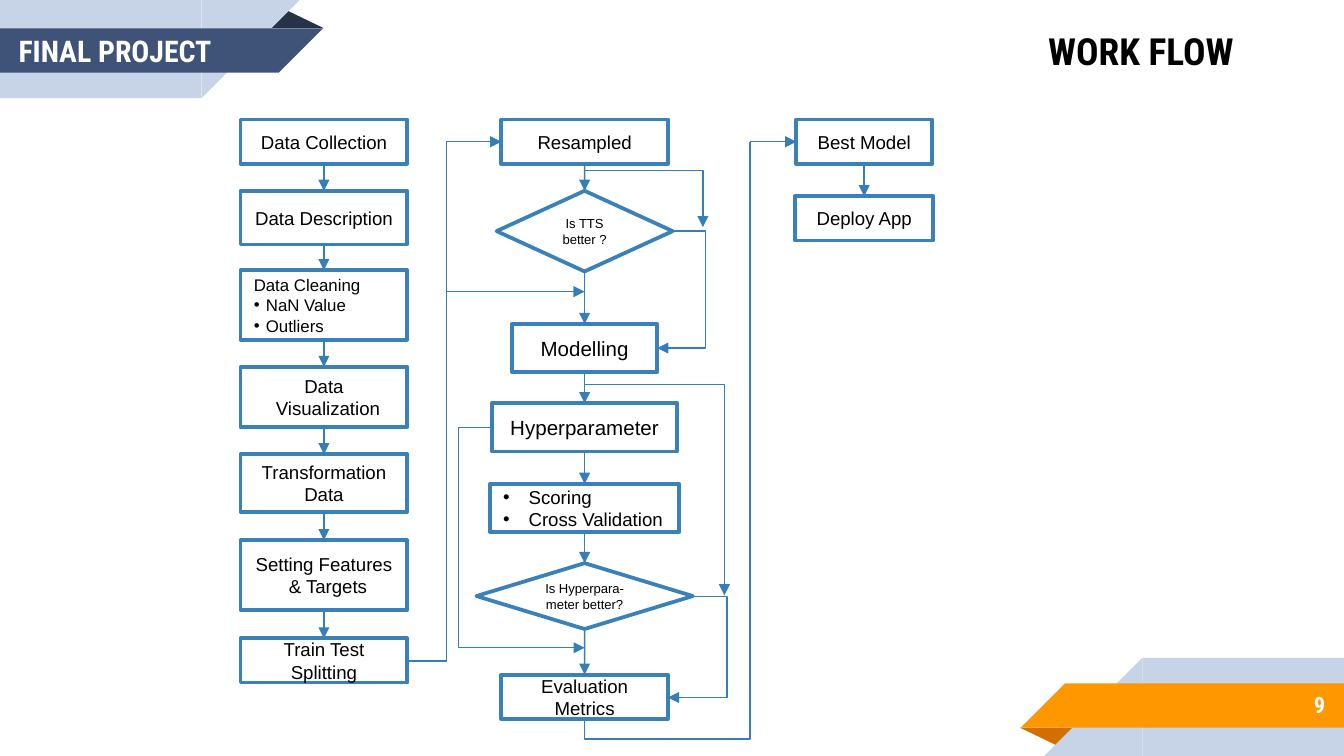
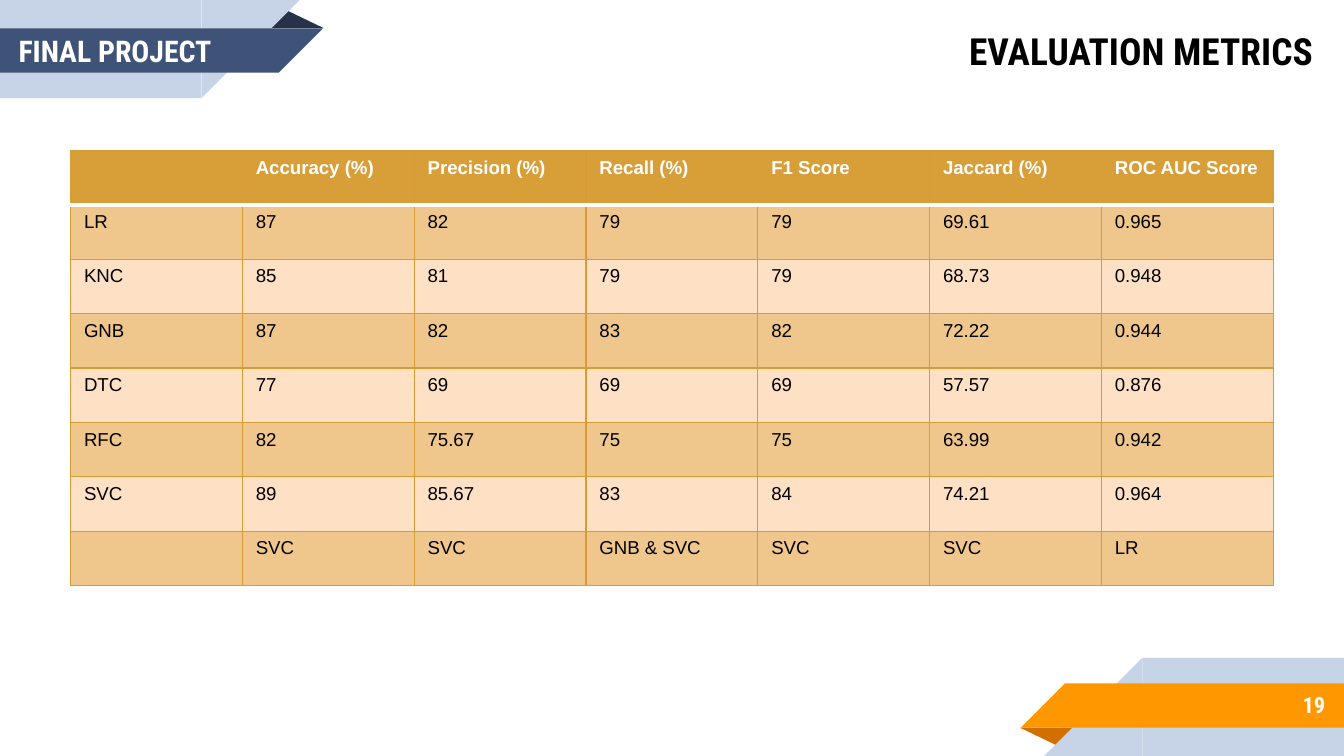
from dataclasses import dataclass
from itertools import pairwise

from lxml.etree import SubElement
from pptx import Presentation
from pptx.dml.color import RGBColor
from pptx.enum.shapes import MSO_CONNECTOR, MSO_SHAPE
from pptx.enum.text import MSO_ANCHOR, MSO_AUTO_SIZE, PP_ALIGN
from pptx.oxml.ns import qn
from pptx.util import Inches, Pt

# The grid: 100 columns by 56.25 rows, each cell a tenth of an inch square.
COLUMNS, ROWS = 100, 56.25
COLORS = {
    "black": "000000", "white": "FFFFFF", "pale": "C7D3E6",
    "navy": "3F5378", "dark navy": "263248",
    "orange": "FF9800", "dark orange": "D26F00",
    "box line": "3A81BA", "arrow": "367EB9",
    "header": "D89F39", "border": "D79D34",
    "dark row": "EFC78C", "light row": "FEE1C4",
}
HEADING_FONT, BODY_FONT = "Roboto Condensed", "Arial"
TOP, LEFT, BOTTOM, RIGHT = range(4)

Point = tuple[float, float]


@dataclass(frozen=True)
class BandPart:
    shape: MSO_SHAPE
    left: float
    top: float
    width: float
    height: float
    role: str


@dataclass(frozen=True)
class Step:
    """One box of the flow; lines that begin with • become bullets."""
    text: str
    top: float
    height: float
    width: float = 12.4
    size: float = 10
    shape: MSO_SHAPE = MSO_SHAPE.RECTANGLE
    hang: float = 0


@dataclass(frozen=True)
class Heading:
    left: float
    top: float
    width: float
    height: float
    size: float
    color: str
    align: PP_ALIGN


BAND = [
    BandPart(MSO_SHAPE.ISOSCELES_TRIANGLE, 19.8, 0.7, 4.3, 1.4, "fold"),
    BandPart(MSO_SHAPE.RECTANGLE, 0, 0, 15, 7.3, "back"),
    BandPart(MSO_SHAPE.RIGHT_TRIANGLE, 15, 0, 7.3, 7.3, "back"),
    BandPart(MSO_SHAPE.RECTANGLE, 0, 2.1, 20.75, 3.3, "front"),
    BandPart(MSO_SHAPE.RIGHT_TRIANGLE, 20.75, 2.1, 3.3, 3.3, "front"),
]
TOP_BAND = {"fold": "dark navy", "back": "pale", "front": "navy"}
BOTTOM_BAND = {"fold": "dark orange", "back": "pale", "front": "orange"}

TITLE = Heading(70.2, 1, 29.4, 5.6, 20, "black", PP_ALIGN.CENTER)
PROJECT = Heading(0.4, 0.3, 39.4, 7, 16, "white", PP_ALIGN.LEFT)
NUMBER = Heading(83.3, 50.7, 16.3, 3.5, 12, "white", PP_ALIGN.RIGHT)

# Each column of the flow: its centre line and its steps from top to bottom.
FLOW = {
    24.1: [
        Step("Data Collection", 8.9, 3.3),
        Step("Data Description", 14.2, 4),
        Step("Data Cleaning\n•NaN Value\n•Outliers", 20.1, 5.2, size=9, hang=0.9),
        Step("Data Visualization", 27.3, 4.5, hang=0.6),
        Step("Transformation\nData", 33.8, 4.3),
        Step("Setting Features & Targets", 40.2, 5.2, hang=0.6),
        Step("Train Test Splitting", 47.5, 3.3),
    ],
    43.5: [
        Step("Resampled", 8.9, 3.3),
        Step("Is TTS better ?", 14.2, 6, 13.1, 7, MSO_SHAPE.DIAMOND),
        Step("Modelling", 24.1, 3.6, 10.8, 11),
        Step("Hyperparameter", 30, 3.6, 13.8, 11),
        Step("•Scoring\n•Cross Validation", 36, 3.6, 14.1, hang=1.9),
        Step("Is Hyperpara-meter better?", 41.9, 4.9, 16.1, 7, MSO_SHAPE.DIAMOND),
        Step("Evaluation Metrics", 50.2, 3.3),
    ],
    64.3: [
        Step("Best Model", 8.9, 3.3, 10.1),
        Step("Deploy App", 14.6, 3.3, 10.3),
    ],
}
ENTRY_ROW = 10.55
PLAIN_ROUTES: list[list[Point]] = [
    [(30.3, 49.2), (33.2, 49.2), (33.2, ENTRY_ROW)],
    [(43.5, 53.5), (43.5, 55), (55.8, 55), (55.8, ENTRY_ROW)],
]
ARROW_ROUTES: list[list[Point]] = [
    [(33.2, 21.7), (43.5, 21.7)],
    [(43.5, 12.7), (52.3, 12.7), (52.3, 16.9)],
    [(50, 17.2), (52.5, 17.2), (52.5, 25.9), (48.9, 25.9)],
    [(43.5, 27.7), (43.5, 28.6), (53.9, 28.6), (53.9, 44.3)],
    [(36.6, 31.8), (34.1, 31.8), (34.1, 48.2), (43.5, 48.2)],
    [(51.6, 44.4), (54.1, 44.4), (54.1, 51.9), (49.7, 51.9)],
]

METRICS = [
    ["", "Accuracy (%)", "Precision (%)", "Recall (%)", "F1 Score", "Jaccard (%)",
     "ROC AUC Score"],
    ["LR", "87", "82", "79", "79", "69.61", "0.965"],
    ["KNC", "85", "81", "79", "79", "68.73", "0.948"],
    ["GNB", "87", "82", "83", "82", "72.22", "0.944"],
    ["DTC", "77", "69", "69", "69", "57.57", "0.876"],
    ["RFC", "82", "75.67", "75", "75", "63.99", "0.942"],
    ["SVC", "89", "85.67", "83", "84", "74.21", "0.964"],
    ["", "SVC", "SVC", "GNB & SVC", "SVC", "SVC", "LR"],
]


def cells(*counts: float) -> list[Inches]:
    return [Inches(count / 10) for count in counts]


def color(name: str) -> RGBColor:
    return RGBColor.from_string(COLORS[name])


def style(paragraph, font: str, size: float, tint: str, align: PP_ALIGN,
          bold: bool = False) -> None:
    paragraph.alignment = align
    paragraph.font.name = font
    paragraph.font.size = Pt(size)
    paragraph.font.bold = bold
    paragraph.font.color.rgb = color(tint)


def draw_band(page, tints: dict[str, str], turned: bool):
    """Draws the ribbon at the top left, or turned about the slide's centre."""
    group = page.shapes.add_group_shape()
    for part in BAND:
        left, top = part.left, part.top
        if turned:
            left, top = COLUMNS - left - part.width, ROWS - top - part.height
        shape = group.shapes.add_shape(part.shape, *cells(left, top, part.width, part.height))
        shape.shadow.inherit = False
        shape.fill.solid()
        shape.fill.fore_color.rgb = color(tints[part.role])
        shape.line.fill.background()
        is_fold = part.role == "fold"
        shape.rotation = 180 if turned == is_fold else 0
        if is_fold:
            shape.adjustments[0] = 0.324
        else:
            shape.element.xpath(".//a:xfrm")[0].set("flipH", "1")
    return group


def write_heading(box, heading: Heading, text: str) -> None:
    box.left, box.top, box.width, box.height = cells(
        heading.left, heading.top, heading.width, heading.height)
    frame = box.text_frame
    frame.text = text
    frame.word_wrap = True
    frame.auto_size = MSO_AUTO_SIZE.NONE
    frame.vertical_anchor = MSO_ANCHOR.MIDDLE
    frame.margin_left = frame.margin_right = Inches(0.1)
    frame.margin_top = frame.margin_bottom = Inches(0.1)
    style(frame.paragraphs[0], HEADING_FONT, heading.size, heading.color, heading.align, True)


def add_page(deck, layout, title: str, number: int):
    page = deck.slides.add_slide(layout)
    write_heading(page.shapes.title, TITLE, title)
    for heading, text in ((PROJECT, "FINAL PROJECT"), (NUMBER, str(number))):
        write_heading(page.shapes.add_textbox(0, 0, 0, 0), heading, text)
    return page


def prepare_layout(deck):
    """Keeps only the layout's title and puts both ribbons behind it."""
    layout = deck.slide_layouts.get_by_name("Title Only")
    for holder in list(layout.placeholders)[1:]:
        layout.shapes.element.remove(holder.element)
    return layout


def draw_step(page, centre: float, step: Step):
    box = page.shapes.add_shape(
        step.shape, *cells(centre - step.width / 2, step.top, step.width, step.height))
    box.shadow.inherit = False
    box.fill.solid()
    box.fill.fore_color.rgb = color("white")
    box.line.color.rgb = color("box line")
    box.line.width = Pt(2)
    frame = box.text_frame
    frame.word_wrap = True
    frame.vertical_anchor = MSO_ANCHOR.MIDDLE
    frame.text = step.text.replace("•", "")
    align = PP_ALIGN.JUSTIFY if "•" in step.text else PP_ALIGN.CENTER
    for paragraph, line in zip(frame.paragraphs, step.text.split("\n")):
        style(paragraph, BODY_FONT, step.size, "black", align)
        properties = paragraph._p.get_or_add_pPr()
        hang = Inches(step.hang / 10)
        properties.set("marL", str(hang))
        properties.set("indent", str(-hang))
        if line.startswith("•"):
            SubElement(properties, qn("a:buFont")).set("typeface", BODY_FONT)
            SubElement(properties, qn("a:buChar")).set("char", "•")
    return box


def draw_route(page, points: list[Point], arrow: bool = True):
    """Joins two to four points by one straight or elbow connector."""
    (x0, y0), (x1, y1) = points[0], points[-1]
    kind = MSO_CONNECTOR.STRAIGHT if len(points) == 2 else MSO_CONNECTOR.ELBOW
    link = page.shapes.add_connector(kind, *cells(x0, y0, x1, y1))
    link.line.color.rgb = color("arrow")
    link.line.width = Pt(0.75)
    if arrow:
        SubElement(link.line._get_or_add_ln(), qn("a:tailEnd")).set("type", "triangle")
    SubElement(link.element.spPr, qn("a:effectLst"))
    geometry = link.element.xpath(".//a:prstGeom")[0]
    if len(points) == 3:
        geometry.set("prst", "bentConnector2")
    elif len(points) == 4:
        bend_x, bend_y = points[1]
        starts_upright = bend_x == x0
        share = (bend_y - y0) / (y1 - y0) if starts_upright else (bend_x - x0) / (x1 - x0)
        guide = SubElement(geometry.get_or_add_avLst(), qn("a:gd"))
        guide.set("name", "adj1")
        guide.set("fmla", f"val {round(share * 100000)}")
        if starts_upright:
            turn_upright(link, x1 > x0, y1 < y0)
    return link


def turn_upright(link, rightward: bool, upward: bool) -> None:
    """Turns an elbow by 90 degrees so that its first leg is vertical."""
    width, height = link.width, link.height
    link.left += (width - height) // 2
    link.top += (height - width) // 2
    link.width, link.height = height, width
    frame = link.element.xpath(".//a:xfrm")[0]
    frame.set("rot", str(90 * 60000))
    frame.set("flipH", str(int(upward)))
    frame.set("flipV", str(int(rightward)))


def draw_flow(page) -> None:
    heads = []
    for centre, steps in FLOW.items():
        boxes = [draw_step(page, centre, step) for step in steps]
        heads.append(boxes[0])
        for upper, lower in pairwise(boxes):
            link = draw_route(page, [(centre, 0), (centre, 1)])
            link.begin_connect(upper, BOTTOM)
            link.end_connect(lower, TOP)
    for points in PLAIN_ROUTES:
        draw_route(page, points, arrow=False)
    for points in ARROW_ROUTES:
        draw_route(page, points)
    for points, head in zip(PLAIN_ROUTES, heads[1:]):
        start = points[-1]
        draw_route(page, [start, (start[0] + 1, start[1])]).end_connect(head, LEFT)


def set_border(cell, side: str, tint: str, width: float) -> None:
    line = SubElement(cell._tc.get_or_add_tcPr(), qn(f"a:ln{side}"))
    line.set("w", str(Pt(width)))
    fill = SubElement(line, qn("a:solidFill"))
    SubElement(fill, qn("a:srgbClr")).set("val", COLORS[tint])


def draw_metrics(page) -> None:
    table = page.shapes.add_table(
        len(METRICS), len(METRICS[0]), *cells(5.25, 11.2, 89.5, 32.4)).table
    for row, values in enumerate(METRICS):
        for column, value in enumerate(values):
            cell = table.cell(row, column)
            cell.text = value
            for side in "LRTB":
                under_header = (row, side) in ((0, "B"), (1, "T"))
                set_border(cell, side, *(("white", 2) if under_header else ("border", 0.75)))
            tint = "header" if row == 0 else ("light row", "dark row")[row % 2]
            cell.fill.solid()
            cell.fill.fore_color.rgb = color(tint)
            style(cell.text_frame.paragraphs[0], BODY_FONT, 10,
                  "black" if row else "white", PP_ALIGN.LEFT, row == 0)


def main() -> None:
    deck = Presentation()
    deck.slide_width, deck.slide_height = cells(COLUMNS, ROWS)
    layout = prepare_layout(deck)
    flow_page = add_page(deck, layout, "WORK FLOW", 9)
    for tints, turned in ((BOTTOM_BAND, True), (TOP_BAND, False)):
        layout.shapes.element.append(draw_band(flow_page, tints, turned).element)
    draw_flow(flow_page)
    draw_metrics(add_page(deck, layout, "EVALUATION METRICS", 19))
    deck.save("out.pptx")


if __name__ == "__main__":
    main()
